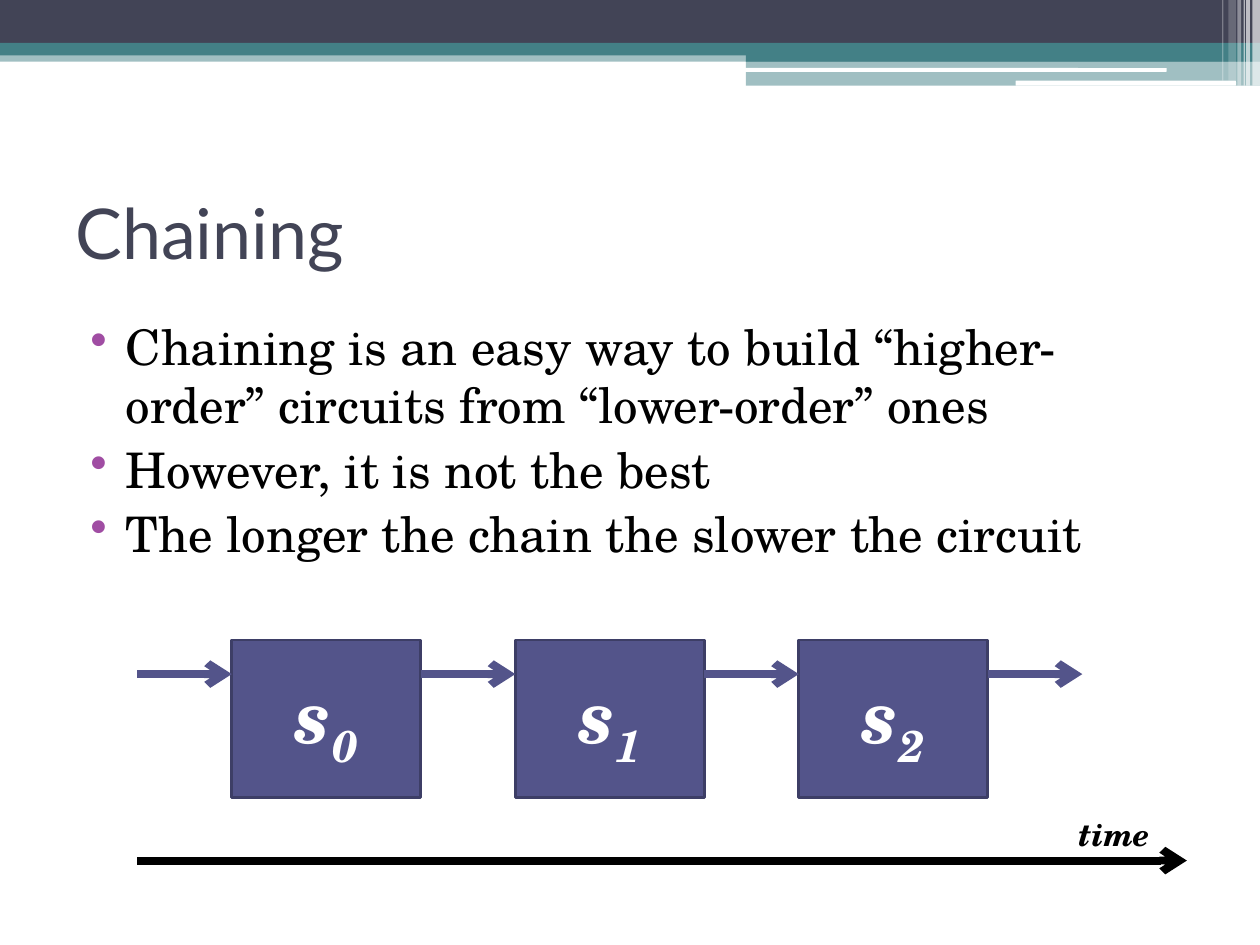
from lxml import etree
from pptx import Presentation
from pptx.dml.color import RGBColor
from pptx.enum.shapes import MSO_CONNECTOR, MSO_SHAPE
from pptx.enum.text import MSO_ANCHOR, MSO_AUTO_SIZE, PP_ALIGN
from pptx.oxml.ns import qn
from pptx.util import Inches, Pt

RECT, ROUNDED = MSO_SHAPE.RECTANGLE, MSO_SHAPE.ROUNDED_RECTANGLE
STRAIGHT = MSO_CONNECTOR.STRAIGHT
MIDDLE, CENTER = MSO_ANCHOR.MIDDLE, PP_ALIGN.CENTER
FIT_SHAPE = MSO_AUTO_SIZE.SHAPE_TO_FIT_TEXT

COLORS = {
    "slate": "424456",
    "teal": "438086",
    "white": "FFFFFF",
    "black": "000000",
    "bullet": "A04DA3",
    "block": "53548A",
    "outline": "3D3E66",
}
TITLE_FONT, BODY_FONT = "Lato", "TeX Gyre Schola"

# left, top, width, height, colour, opacity in percent
BANDS = [
    (0, 0.4, 10, 0.09, "teal", 50),
    (0, 0, 10, 0.34, "slate", 100),
    (0, 0.34, 10, 0.1, "teal", 100),
    (5.92, 0.39, 4.08, 0.1, "teal", 100),
    (5.92, 0.48, 4.08, 0.2, "teal", 50),
]
HIGHLIGHTS = [(5.91, 0.54, 3.35, 0.03), (8.06, 0.64, 1.75, 0.04)]
# left, width, height, opacity in percent
STRIPES = [
    (9.94, 0.06, 0.68, 65),
    (9.89, 0.03, 0.68, 65),
    (9.87, 0.01, 0.68, 60),
    (9.82, 0.03, 0.68, 40),
    (9.75, 0.06, 0.64, 20),
    (9.7, 0.01, 0.64, 30),
]
POINTS = [
    "Chaining is an easy way to build “higher-order” circuits from “lower-order” ones",
    "However, it is not the best",
    "The longer the chain the slower the circuit",
]
BLOCK_LEFT, BLOCK_TOP, BLOCK_WIDTH, BLOCK_HEIGHT = 1.84, 5.08, 1.5, 1.25
LINK_LENGTH, LINK_Y = 0.75, 5.35
BLOCK_COUNT = 3


def rgb(name):
    return RGBColor.from_string(COLORS[name])


def set_font(font, name, size, color, strong=False):
    """Set a font; strong means bold italic."""
    font.name, font.size = name, Pt(size)
    font.color.rgb = rgb(color)
    font.bold = font.italic = strong


def add_filled_shape(page, kind, left, top, width, height, color, opacity=100):
    shape = page.shapes.add_shape(
        kind, Inches(left), Inches(top), Inches(width), Inches(height))
    shape.shadow.inherit = False
    shape.fill.solid()
    shape.fill.fore_color.rgb = rgb(color)
    shape.line.fill.background()
    if opacity < 100:
        value = shape.fill._xPr.find(".//" + qn("a:srgbClr"))
        etree.SubElement(value, qn("a:alpha"), val=str(opacity * 1000))
    return shape


def add_text_box(page, left, top, width, height):
    box = page.shapes.add_textbox(
        Inches(left), Inches(top), Inches(width), Inches(height))
    box.text_frame.word_wrap = True
    return box.text_frame


def add_arrow(page, left, right, y, color):
    arrow = page.shapes.add_connector(
        STRAIGHT, Inches(left), Inches(y), Inches(right), Inches(y))
    arrow.line.color.rgb = rgb(color)
    arrow.line.width = Pt(4.5)
    etree.SubElement(arrow.line._get_or_add_ln(), qn("a:tailEnd"), type="arrow")
    etree.SubElement(arrow._element.spPr, qn("a:effectLst"))


def add_banner(page):
    for left, top, width, height, color, opacity in BANDS:
        add_filled_shape(page, RECT, left, top, width, height, color, opacity)
    for place in HIGHLIGHTS:
        add_filled_shape(page, ROUNDED, *place, "white")
    for left, width, height, opacity in STRIPES:
        add_filled_shape(page, RECT, left, 0, width, height, "white", opacity)


def add_title(page, text):
    frame = add_text_box(page, 0.5, 1.25, 9, 1.17)
    frame.vertical_anchor = MIDDLE
    para = frame.paragraphs[0]
    para.text = text
    set_font(para.font, TITLE_FONT, 40, "slate")


def add_bullet(para):
    props = para._p.get_or_add_pPr()
    props.set("marL", str(Inches(0.4)))
    props.set("indent", str(Inches(-0.28)))
    tint = etree.SubElement(props, qn("a:buClr"))
    etree.SubElement(tint, qn("a:srgbClr"), val=COLORS["bullet"])
    etree.SubElement(props, qn("a:buChar"), char="•")


def add_points(page, points):
    frame = add_text_box(page, 0.5, 2.46, 9, 2.37)
    for index, point in enumerate(points):
        para = frame.add_paragraph() if index else frame.paragraphs[0]
        para.text = point
        add_bullet(para)
        para.space_before = Pt(3 if index else 0)
        set_font(para.font, BODY_FONT, 28, "black")


def add_block(page, left, index):
    block = add_filled_shape(
        page, RECT, left, BLOCK_TOP, BLOCK_WIDTH, BLOCK_HEIGHT, "block")
    block.line.color.rgb = rgb("outline")
    block.line.width = Pt(1.5)
    block.text_frame.vertical_anchor = MIDDLE
    para = block.text_frame.paragraphs[0]
    para.alignment = CENTER
    para.add_run().text = "s"
    subscript = para.add_run()
    subscript.text = str(index)
    subscript.font._element.set("baseline", "-25000")
    set_font(para.font, BODY_FONT, 44, "white", strong=True)


def add_chain(page):
    """Draw the blocks, with an arrow into each and one out of the last."""
    step = BLOCK_WIDTH + LINK_LENGTH
    for index in range(BLOCK_COUNT + 1):
        left = BLOCK_LEFT + index * step
        if index < BLOCK_COUNT:
            add_block(page, left, index)
        add_arrow(page, left - LINK_LENGTH, left, LINK_Y, "block")


def add_time_axis(page):
    add_arrow(page, 1.09, 9.42, 6.83, "black")
    frame = add_text_box(page, 8.46, 6.42, 0.79, 0.4)
    frame.word_wrap = False
    frame.auto_size = FIT_SHAPE
    para = frame.paragraphs[0]
    para.text = "time"
    set_font(para.font, BODY_FONT, 18, "black", strong=True)


def main():
    deck = Presentation()
    deck.slide_width, deck.slide_height = Inches(10), Inches(7.5)
    page = deck.slides.add_slide(deck.slide_layouts[6])
    add_banner(page)
    add_title(page, "Chaining")
    add_points(page, POINTS)
    add_chain(page)
    add_time_axis(page)
    deck.save("out.pptx")


if __name__ == "__main__":
    main()
